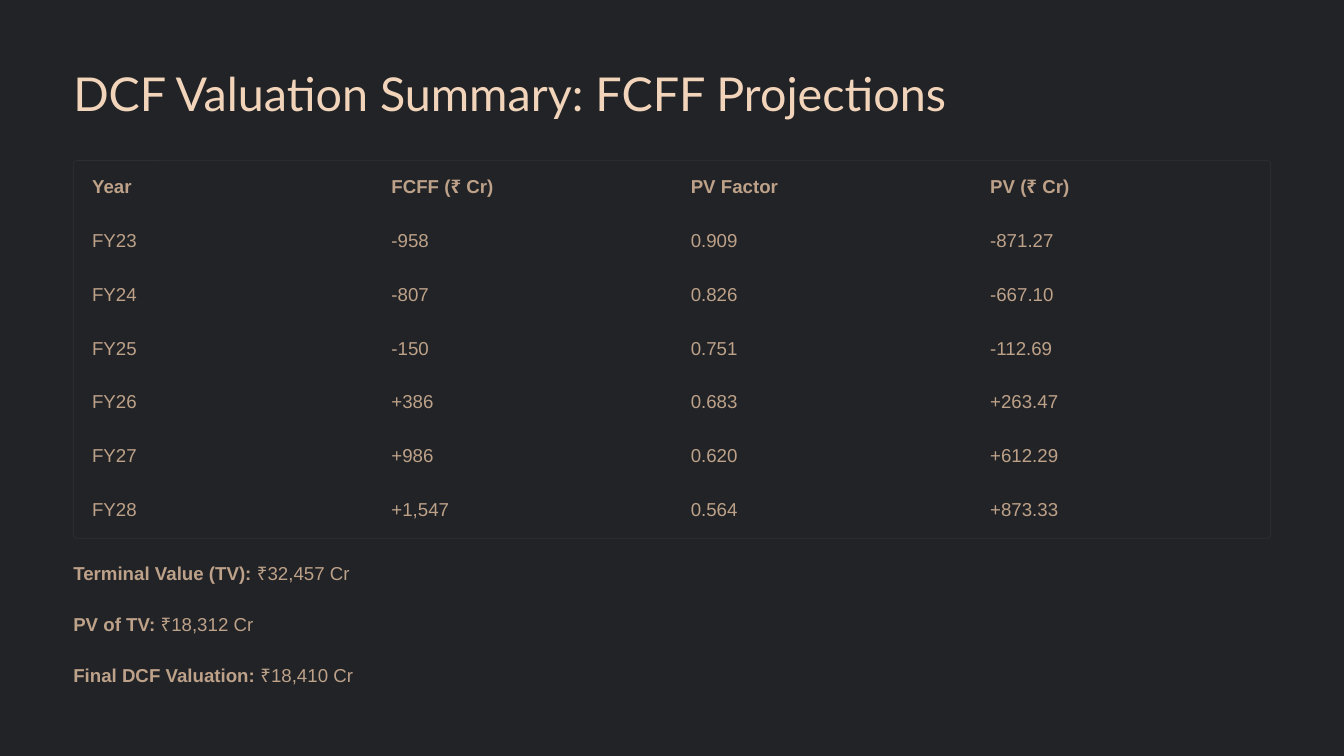
from lxml import etree
from pptx import Presentation, util as u
from pptx.dml.color import RGBColor
from pptx.enum import shapes, text
from pptx.oxml import ns

BLACK = RGBColor(0x00, 0x00, 0x00)
BACKDROP = RGBColor(0x13, 0x17, 0x1B)
PANEL = RGBColor(0x21, 0x23, 0x26)
HEADING = RGBColor(0xF2, 0xD4, 0xBA)
BODY = RGBColor(0xBD, 0xA1, 0x89)
WHITE = RGBColor(0xFF, 0xFF, 0xFF)

WIDTH, HEIGHT = u.Inches(20), u.Inches(11.25)
MARGIN = u.Inches(1.09)
CONTENT_WIDTH = WIDTH - 2 * MARGIN
TABLE_TOP, TABLE_HEIGHT = u.Inches(2.39), u.Inches(5.62)
SUMMARY_TOP, SUMMARY_STEP = u.Inches(8.25), u.Inches(0.76)
LINE_HEIGHT = u.Inches(0.53)
NO_GRID_STYLE = "{2D5ABB26-0587-4C30-8999-92F81FD0307C}"

PROJECTIONS = [
    ("Year", "FCFF (₹ Cr)", "PV Factor", "PV (₹ Cr)"),
    ("FY23", "-958", "0.909", "-871.27"),
    ("FY24", "-807", "0.826", "-667.10"),
    ("FY25", "-150", "0.751", "-112.69"),
    ("FY26", "+386", "0.683", "+263.47"),
    ("FY27", "+986", "0.620", "+612.29"),
    ("FY28", "+1,547", "0.564", "+873.33"),
]
SUMMARY = [
    ("Terminal Value (TV):", " ₹32,457 Cr"),
    ("PV of TV:", " ₹18,312 Cr"),
    ("Final DCF Valuation:", " ₹18,410 Cr"),
]


def style_font(font, bold=False, name="Arial", size=20, color=BODY):
    font.name, font.size, font.bold = name, u.Pt(size), bold
    font.color.rgb = color


def add_full_panel(slide, color):
    """Cover the whole slide with one colour."""
    panel = slide.shapes.add_shape(shapes.MSO_SHAPE.RECTANGLE, 0, 0, WIDTH, HEIGHT)
    panel.shadow.inherit = False
    panel.fill.solid()
    panel.fill.fore_color.rgb = color
    panel.line.fill.background()


def add_text_box(slide, top, height, spacing):
    """Add an unpadded box across the content and return its paragraph."""
    box = slide.shapes.add_textbox(MARGIN, top, CONTENT_WIDTH, height)
    frame = box.text_frame
    frame.word_wrap = True
    frame.margin_left = frame.margin_right = 0
    frame.margin_top = frame.margin_bottom = 0
    paragraph = frame.paragraphs[0]
    paragraph.line_spacing = u.Pt(spacing)
    return paragraph


def add_title(slide, title):
    paragraph = add_text_box(slide, u.Inches(0.93), u.Inches(0.89), 62.5)
    paragraph.text = title
    style_font(paragraph.runs[0].font, name="Lato", size=50, color=HEADING)


def add_table_frame(slide):
    """Outline the table with a faint rounded line."""
    shape = slide.shapes.add_shape(
        shapes.MSO_SHAPE.ROUNDED_RECTANGLE, MARGIN, TABLE_TOP, CONTENT_WIDTH, TABLE_HEIGHT)
    shape.adjustments[0] = 0.01
    shape.shadow.inherit = False
    shape.fill.background()
    shape.line.color.rgb = WHITE
    shape.line.width = u.Pt(0.75)
    color = shape.element.xpath("./p:spPr/a:ln//a:srgbClr")[0]
    etree.SubElement(color, ns.qn("a:alpha"), val="5000")


def add_projection_table(slide, rows):
    graphic = slide.shapes.add_table(
        len(rows), len(rows[0]), MARGIN, TABLE_TOP, CONTENT_WIDTH, TABLE_HEIGHT)
    graphic.element.xpath(".//a:tableStyleId")[0].text = NO_GRID_STYLE
    table = graphic.table
    table.horz_banding = False
    for row_index, values in enumerate(rows):
        for column_index, value in enumerate(values):
            cell = table.cell(row_index, column_index)
            cell.fill.background()
            cell.vertical_anchor = text.MSO_ANCHOR.TOP
            cell.margin_left = cell.margin_right = u.Inches(0.28)
            cell.margin_top = cell.margin_bottom = u.Inches(0.1)
            cell.text_frame.text = value
            paragraph = cell.text_frame.paragraphs[0]
            paragraph.line_spacing = u.Pt(31.9)
            style_font(paragraph.runs[0].font, bold=row_index == 0)


def add_summary_line(slide, index, label, value):
    paragraph = add_text_box(slide, SUMMARY_TOP + index * SUMMARY_STEP, LINE_HEIGHT, 31.9)
    paragraph.text = label
    paragraph.add_run().text = value
    for run, bold in zip(paragraph.runs, (True, False)):
        style_font(run.font, bold)


def main():
    presentation = Presentation()
    presentation.slide_width, presentation.slide_height = WIDTH, HEIGHT
    slide = presentation.slides.add_slide(presentation.slide_layouts[6])

    # Background layers and title
    slide.background.fill.solid()
    slide.background.fill.fore_color.rgb = BLACK
    for color in (BACKDROP, PANEL):
        add_full_panel(slide, color)
    add_title(slide, "DCF Valuation Summary: FCFF Projections")

    # Yearly projections
    add_table_frame(slide)
    add_projection_table(slide, PROJECTIONS)

    # Valuation results
    for index, (label, value) in enumerate(SUMMARY):
        add_summary_line(slide, index, label, value)

    presentation.save("out.pptx")


if __name__ == "__main__":
    main()
